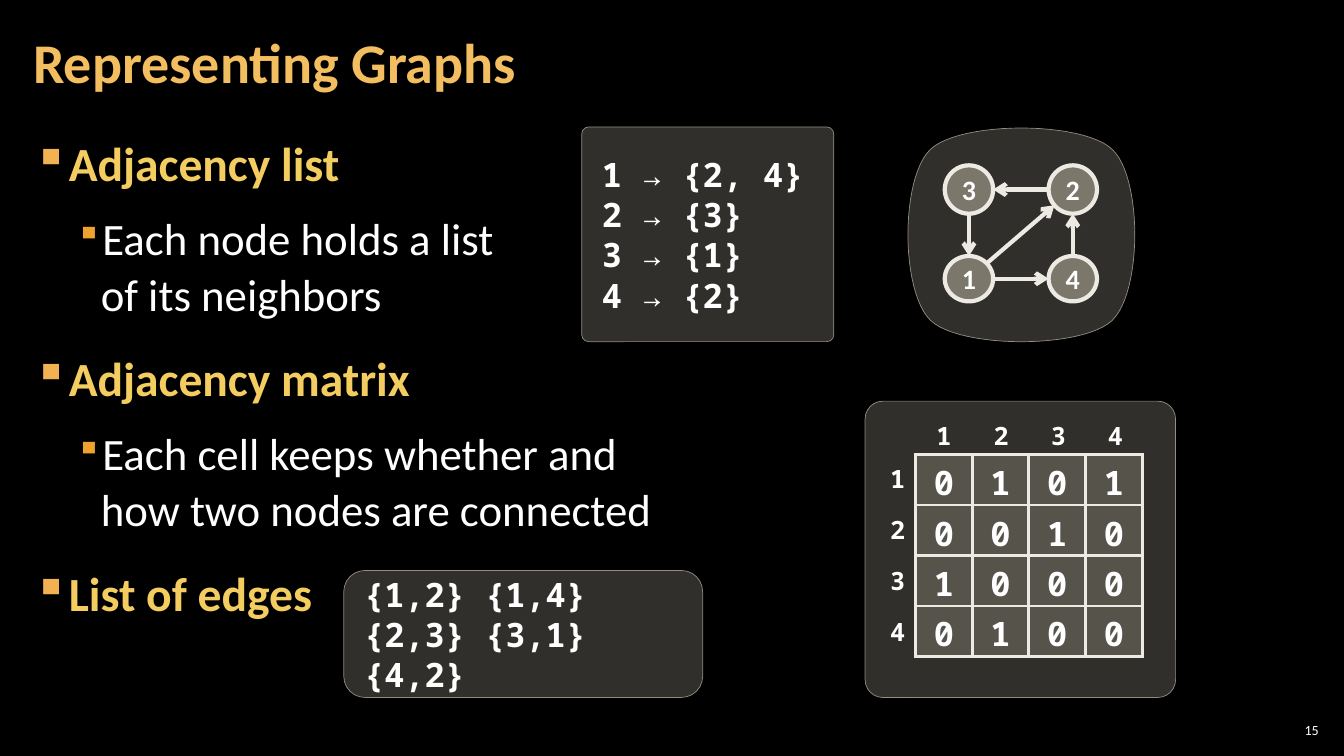
from dataclasses import dataclass
from math import hypot

from lxml.etree import SubElement
from pptx import Presentation
from pptx.dml.color import RGBColor
from pptx.enum.shapes import MSO_CONNECTOR as Connector, MSO_SHAPE as Shape
from pptx.enum.text import MSO_ANCHOR as Anchor, PP_ALIGN as Align
from pptx.oxml.ns import qn
from pptx.util import Inches, Pt


@dataclass(frozen=True)
class Theme:
    background: str = "000000"
    text: str = "FFFFFF"
    title: str = "F3BE60"
    topic: str = "F3CD60"
    topic_bullet: str = "F2B254"
    detail_bullet: str = "F0A22E"
    panel: str = "C7BFAC"
    stroke: str = "ECEAE3"
    sans: str = "Calibri"
    mono: str = "Noto Sans Mono"
    title_size: int = 40
    topic_size: int = 34
    detail_size: int = 32
    code_size: int = 24
    node_size: int = 20
    label_size: int = 18
    number_size: int = 10


THEME = Theme()
ADJACENCY = {1: [2, 4], 2: [3], 3: [1], 4: [2]}
EDGES = [(start, end) for start, ends in ADJACENCY.items() for end in ends]
NODE_BOXES = {
    2: (10.4, 1.64, 0.48, 0.48),
    4: (10.4, 2.54, 0.48, 0.45),
    1: (9.37, 2.54, 0.48, 0.45),
    3: (9.37, 1.64, 0.48, 0.48),
}
TOPICS = [
    (0, "Adjacency list"),
    (1, "Each node holds a list \nof its neighbors"),
    (0, "Adjacency matrix"),
    (1, "Each cell keeps whether and \nhow two nodes are connected"),
    (0, "List of edges"),
]


def rgb(color):
    return RGBColor.from_string(color)


def set_alpha(parent, percent):
    color = parent.find(qn("a:solidFill"))[0]
    SubElement(color, qn("a:alpha"), val=str(percent * 1000))


def style_runs(paragraph, size, font=THEME.mono, color=THEME.text, bold=True):
    for run in paragraph.runs:
        run.font.size = Pt(size)
        run.font.name = font
        run.font.bold = bold
        run.font.color.rgb = rgb(color)


def set_frame(frame, insets, anchor=Anchor.TOP, wrap=True):
    frame.word_wrap = wrap
    frame.vertical_anchor = anchor
    frame.margin_left = frame.margin_right = Inches(insets[0])
    frame.margin_top = frame.margin_bottom = Inches(insets[1])


def paint_panel(shape):
    shape.shadow.inherit = False
    shape.fill.solid()
    shape.fill.fore_color.rgb = rgb(THEME.panel)
    shape.line.color.rgb = rgb(THEME.panel)
    shape.line.width = Pt(0.5)
    properties = shape._element.spPr
    set_alpha(properties, 25)
    set_alpha(properties.find(qn("a:ln")), 70)


def add_panel(slide, box, corner=None):
    panel = slide.shapes.add_shape(Shape.ROUNDED_RECTANGLE, *map(Inches, box))
    if corner is not None:
        panel.adjustments[0] = corner
    paint_panel(panel)
    return panel


def add_code_panel(slide, box, lines, insets, corner=None):
    frame = add_panel(slide, box, corner).text_frame
    set_frame(frame, insets, Anchor.MIDDLE)
    frame.text = "\n".join(lines)
    for paragraph in frame.paragraphs:
        paragraph.alignment = Align.LEFT
        paragraph._p.get_or_add_pPr().set("marL", str(Inches(0.1)))
        style_runs(paragraph, THEME.code_size)


def add_label(slide, box, text, size, font, align, insets, anchor=Anchor.TOP, wrap=False, bold=True):
    frame = slide.shapes.add_textbox(*map(Inches, box)).text_frame
    set_frame(frame, insets, anchor, wrap)
    frame.text = text
    frame.paragraphs[0].alignment = align
    style_runs(frame.paragraphs[0], size, font, bold=bold)


def add_title(slide, text):
    title = slide.shapes.title
    title.left, title.top, title.width, title.height = map(Inches, (0.21, 0.04, 10.47, 1.21))
    set_frame(title.text_frame, (0.12, 0.04), Anchor.MIDDLE)
    title.text_frame.text = text
    heading = title.text_frame.paragraphs[0]
    heading.alignment = Align.LEFT
    heading.line_spacing = 0.9
    style_runs(heading, THEME.title_size, THEME.sans, THEME.title)


def add_bullet(paragraph, margin, hanging, color, percent):
    properties = paragraph._p.get_or_add_pPr()
    properties.set("marL", str(Inches(margin)))
    properties.set("indent", str(Inches(-hanging)))
    SubElement(SubElement(properties, qn("a:buClr")), qn("a:srgbClr"), val=color)
    SubElement(properties, qn("a:buSzPct"), val=str(percent * 1000))
    SubElement(properties, qn("a:buChar"), char="▪")


def add_topics(slide):
    frame = slide.shapes.add_textbox(*map(Inches, (0.21, 1.26, 12.91, 6.09))).text_frame
    set_frame(frame, (0.12, 0.04))
    for index, (level, text) in enumerate(TOPICS):
        paragraph = frame.add_paragraph() if index else frame.paragraphs[0]
        paragraph.text = text
        paragraph.level = level
        if level:
            add_bullet(paragraph, 0.67, 0.25, THEME.detail_bullet, 80)
            style_runs(paragraph, THEME.detail_size, THEME.sans, bold=False)
        else:
            add_bullet(paragraph, 0.33, 0.33, THEME.topic_bullet, 100)
            style_runs(paragraph, THEME.topic_size, THEME.sans, THEME.topic)
        paragraph.line_spacing = 1.05
        paragraph.space_after = Pt(6)
        if index:
            paragraph.space_before = Pt(6 if level else 12)


def add_cell_borders(cell):
    properties = cell._tc.get_or_add_tcPr()
    for position, side in enumerate(("lnL", "lnR", "lnT", "lnB")):
        border = SubElement(properties, qn(f"a:{side}"), w=str(Pt(2.25)))
        SubElement(SubElement(border, qn("a:solidFill")), qn("a:srgbClr"), val=THEME.stroke)
        properties.insert(position, border)


def add_matrix(slide):
    count = len(ADJACENCY)
    box = map(Inches, (9.08, 4.51, 2.25, 2))
    matrix = slide.shapes.add_table(count, count, *box).table
    matrix.first_row = matrix.horz_banding = False
    for row, ends in enumerate(ADJACENCY.values()):
        for column, node in enumerate(ADJACENCY):
            cell = matrix.cell(row, column)
            cell.text = str(int(node in ends))
            cell.text_frame.paragraphs[0].alignment = Align.CENTER
            style_runs(cell.text_frame.paragraphs[0], THEME.code_size)
            cell.fill.solid()
            cell.fill.fore_color.rgb = rgb(THEME.panel)
            set_alpha(cell._tc.tcPr, 25)
            add_cell_borders(cell)
    row_spots = [(8.73, 4.55 + 0.505 * index) for index in range(count)]
    column_spots = [(9.19 + 0.567 * index, 4.12) for index in range(count)]
    for spots in (row_spots, column_spots):
        for node, (left, top) in zip(ADJACENCY, spots):
            add_label(slide, (left, top, 0.34, 0.4), str(node), THEME.label_size,
                      THEME.mono, Align.CENTER, (0.1, 0.05))


def curve_points(start, control_1, control_2, end, steps=24):
    for step in range(1, steps + 1):
        t = step / steps
        weights = ((1 - t) ** 3, 3 * t * (1 - t) ** 2, 3 * t * t * (1 - t), t ** 3)
        yield tuple(Inches(sum(w * v for w, v in zip(weights, values)))
                    for values in zip(start, control_1, control_2, end))


def add_graph_backdrop(slide):
    left, top, right, bottom = 9.23, 1.48, 11.03, 3.18
    sides = [
        ((left, bottom), (8.93, 2.89), (8.93, 1.76), (left, top)),
        ((left, top), (9.53, 1.2), (10.73, 1.2), (right, top)),
        ((right, top), (11.33, 1.76), (11.33, 2.89), (right, bottom)),
        ((right, bottom), (10.73, 3.46), (9.53, 3.46), (left, bottom)),
    ]
    outline = slide.shapes.build_freeform(Inches(left), Inches(bottom))
    outline.add_line_segments([point for side in sides for point in curve_points(*side)])
    paint_panel(outline.convert_to_shape())


def add_node(slide, node, box):
    circle = slide.shapes.add_shape(Shape.OVAL, *map(Inches, box))
    circle.shadow.inherit = False
    circle.fill.solid()
    circle.fill.fore_color.rgb = rgb(THEME.panel)
    set_alpha(circle._element.spPr, 50)
    circle.line.color.rgb = rgb(THEME.stroke)
    circle.line.width = Pt(3)
    set_frame(circle.text_frame, (0.04, 0.05), Anchor.MIDDLE)
    circle.text_frame.text = str(node)
    circle.text_frame.paragraphs[0].alignment = Align.CENTER
    style_runs(circle.text_frame.paragraphs[0], THEME.node_size, THEME.sans)


def rim_point(node, toward):
    left, top, width, height = NODE_BOXES[node]
    other_left, other_top, other_width, other_height = NODE_BOXES[toward]
    x, y = left + width / 2, top + height / 2
    dx, dy = other_left + other_width / 2 - x, other_top + other_height / 2 - y
    reach = 1 / hypot(2 * dx / width, 2 * dy / height)
    return Inches(x + dx * reach), Inches(y + dy * reach)


def add_edge(slide, start, end):
    arrow = slide.shapes.add_connector(
        Connector.STRAIGHT, *rim_point(start, end), *rim_point(end, start))
    arrow.line.color.rgb = rgb(THEME.stroke)
    arrow.line.width = Pt(3)
    properties = arrow._element.spPr
    SubElement(properties.find(qn("a:ln")), qn("a:tailEnd"), type="arrow")
    SubElement(properties, qn("a:effectLst"))


def main():
    deck = Presentation()
    deck.slide_width, deck.slide_height = Inches(13.33), Inches(7.5)
    slide = deck.slides.add_slide(deck.slide_layouts[5])
    slide.background.fill.solid()
    slide.background.fill.fore_color.rgb = rgb(THEME.background)

    add_panel(slide, (8.58, 3.98, 3.08, 2.94), 0.06)
    add_label(slide, (12.65, 7.14, 0.47, 0.21), "15", THEME.number_size, THEME.sans,
              Align.RIGHT, (0.04, 0.04), Anchor.MIDDLE, wrap=True, bold=False)
    add_topics(slide)
    add_title(slide, "Representing Graphs")
    add_matrix(slide)

    edge_list = " ".join(f"{{{start},{end}}}" for start, end in EDGES)
    neighbor_lists = [f"{node} → {{{', '.join(map(str, ends))}}}" for node, ends in ADJACENCY.items()]
    add_code_panel(slide, (3.41, 5.66, 3.56, 1.26), [edge_list], (0.04, 0.05))
    add_code_panel(slide, (5.77, 1.26, 2.5, 2.13), neighbor_lists, (0.08, 0.08), 0.032)

    add_graph_backdrop(slide)
    for node, box in NODE_BOXES.items():
        add_node(slide, node, box)
    for start, end in EDGES:
        add_edge(slide, start, end)
    deck.save("out.pptx")


if __name__ == "__main__":
    main()
